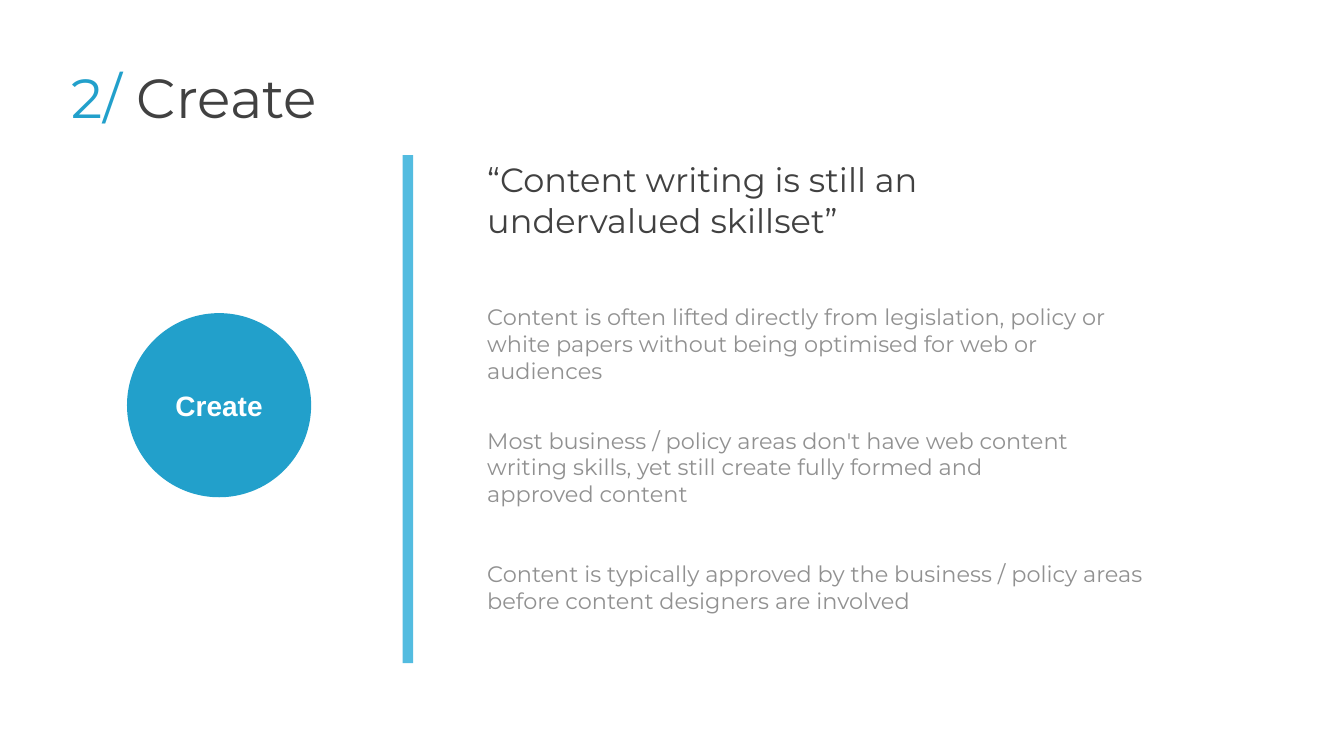
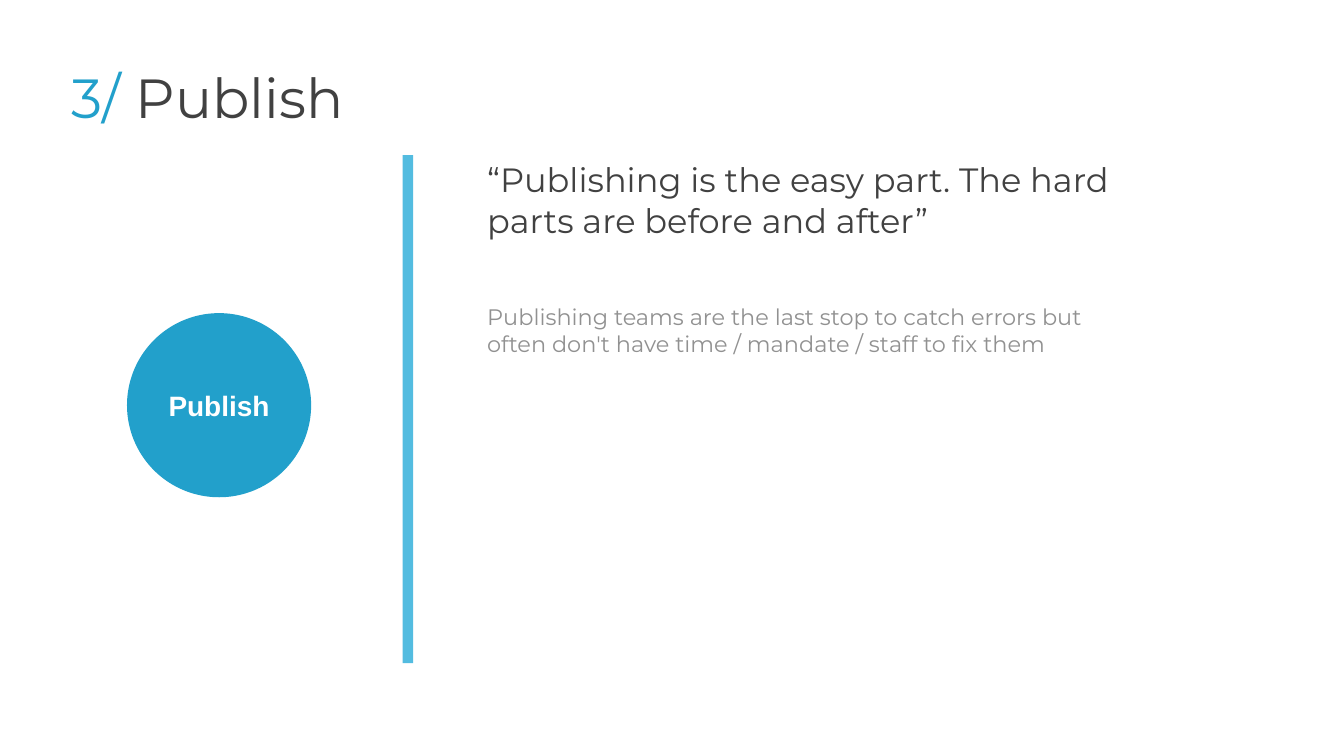
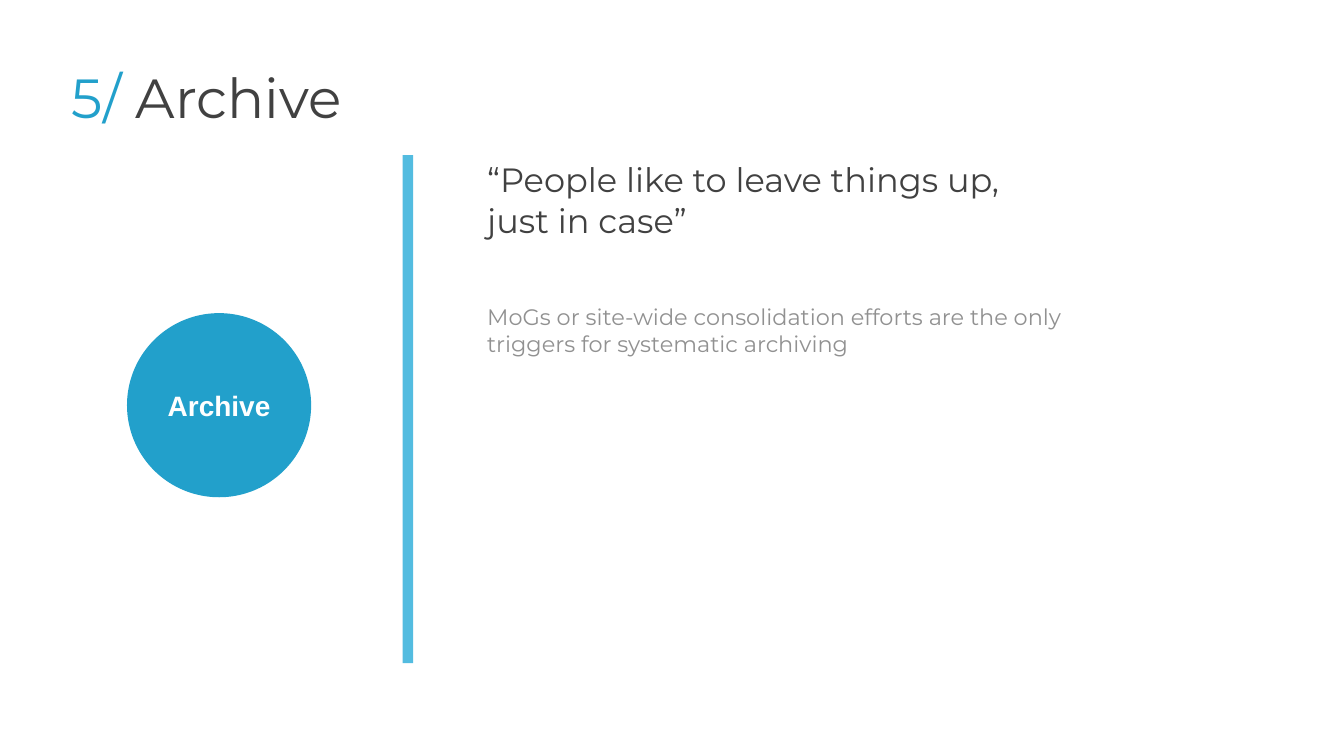
from collections import namedtuple

from pptx import Presentation
from pptx.dml.color import RGBColor
from pptx.enum.shapes import MSO_SHAPE
from pptx.enum.text import MSO_ANCHOR, PP_ALIGN
from pptx.util import Emu, Pt

PX = 9144  # EMU per px, 100 px to the inch
COLORS = {
    "accent": "22A0CB",
    "divider": "53BCE0",
    "dark": "414141",
    "grey": "919191",
    "white": "FFFFFF",
}
HEADING_FONT = "Montserrat"
LABEL_FONT = "Arial"

Box = namedtuple("Box", "left top width height")
TITLE = Box(103, 90, 1217, 111)
DIVIDER = Box(599, 231, 16, 756)
BADGE = Box(189, 466, 274, 274)
CONTENT = Box(721, 233, 985, 707)

# Offset from the content top, width and height of each point
POINT_SLOTS = [(214, 936, 152), (398, 887, 144), (596, 985, 111)]

STAGES = [
    {
        "number": 2,
        "name": "Create",
        "quote": "“Content writing is still an undervalued skillset”",
        "quote_width": 960,
        "points": [
            "Content is often lifted directly from legislation, policy or white "
            "papers without being optimised for web or audiences",
            "Most business / policy areas don't have web content writing skills, "
            "yet still create fully formed and approved content",
            "Content is typically approved by the business / policy areas before "
            "content designers are involved",
        ],
    },
    {
        "number": 3,
        "name": "Publish",
        "quote": "“Publishing is the easy part. The hard parts are before and after”",
        "quote_width": 960,
        "points": [
            "Publishing teams are the last stop to catch errors but often don't "
            "have time / mandate / staff to fix them",
        ],
    },
    {
        "number": 5,
        "name": "Archive",
        "quote": "“People like to leave things up, just in case”",
        "quote_width": 795,
        "points": [
            "MoGs or site-wide consolidation efforts are the only triggers for "
            "systematic archiving",
        ],
    },
]


def to_emu(box):
    return [Emu(length * PX) for length in box]


def add_span(para, text, size, color, font=HEADING_FONT, bold=False):
    span = para.add_run()
    span.text = text
    span.font.name = font
    span.font.size = Pt(size)
    span.font.bold = bold
    span.font.color.rgb = RGBColor.from_string(COLORS[color])


def set_frame(frame, inset):
    frame.word_wrap = True
    frame.margin_left = frame.margin_right = Emu(inset * PX)
    frame.margin_top = frame.margin_bottom = Emu(inset * PX)


def add_text(page, box, spans):
    """Add a one-paragraph text box from (text, size, color) spans."""
    frame = page.shapes.add_textbox(*to_emu(box)).text_frame
    set_frame(frame, 4)
    for text, size, color in spans:
        add_span(frame.paragraphs[0], text, size, color)


def add_filled_shape(page, kind, box, color):
    shape = page.shapes.add_shape(kind, *to_emu(box))
    shape.shadow.inherit = False
    shape.fill.solid()
    shape.fill.fore_color.rgb = RGBColor.from_string(COLORS[color])
    shape.line.fill.background()
    return shape


def add_title(page, box, number, name):
    add_text(page, box, [(f"{number}/ ", 59, "accent"), (name, 59, "dark")])


def add_badge(page, box, name):
    frame = add_filled_shape(page, MSO_SHAPE.OVAL, box, "accent").text_frame
    set_frame(frame, 0)
    frame.vertical_anchor = MSO_ANCHOR.MIDDLE
    para = frame.paragraphs[0]
    para.alignment = PP_ALIGN.CENTER
    add_span(para, name, 30, "white", LABEL_FONT, bold=True)


def add_content(page, box, quote, quote_width, points):
    quote_box = Box(box.left, box.top, quote_width, 221)
    add_text(page, quote_box, [(quote, 36, "dark")])
    for point, (offset, width, height) in zip(points, POINT_SLOTS):
        point_box = Box(box.left, box.top + offset, width, height)
        add_text(page, point_box, [(point, 24, "grey")])


def add_stage_slide(deck, stage):
    page = deck.slides.add_slide(deck.slide_layouts[6])
    add_filled_shape(page, MSO_SHAPE.RECTANGLE, DIVIDER, "divider")
    add_title(page, TITLE, stage["number"], stage["name"])
    add_badge(page, BADGE, stage["name"])
    add_content(page, CONTENT, stage["quote"], stage["quote_width"], stage["points"])


def main():
    deck = Presentation()
    deck.slide_width = Emu(2000 * PX)
    deck.slide_height = Emu(1125 * PX)
    for stage in STAGES:
        add_stage_slide(deck, stage)
    deck.save("out.pptx")


if __name__ == "__main__":
    main()
